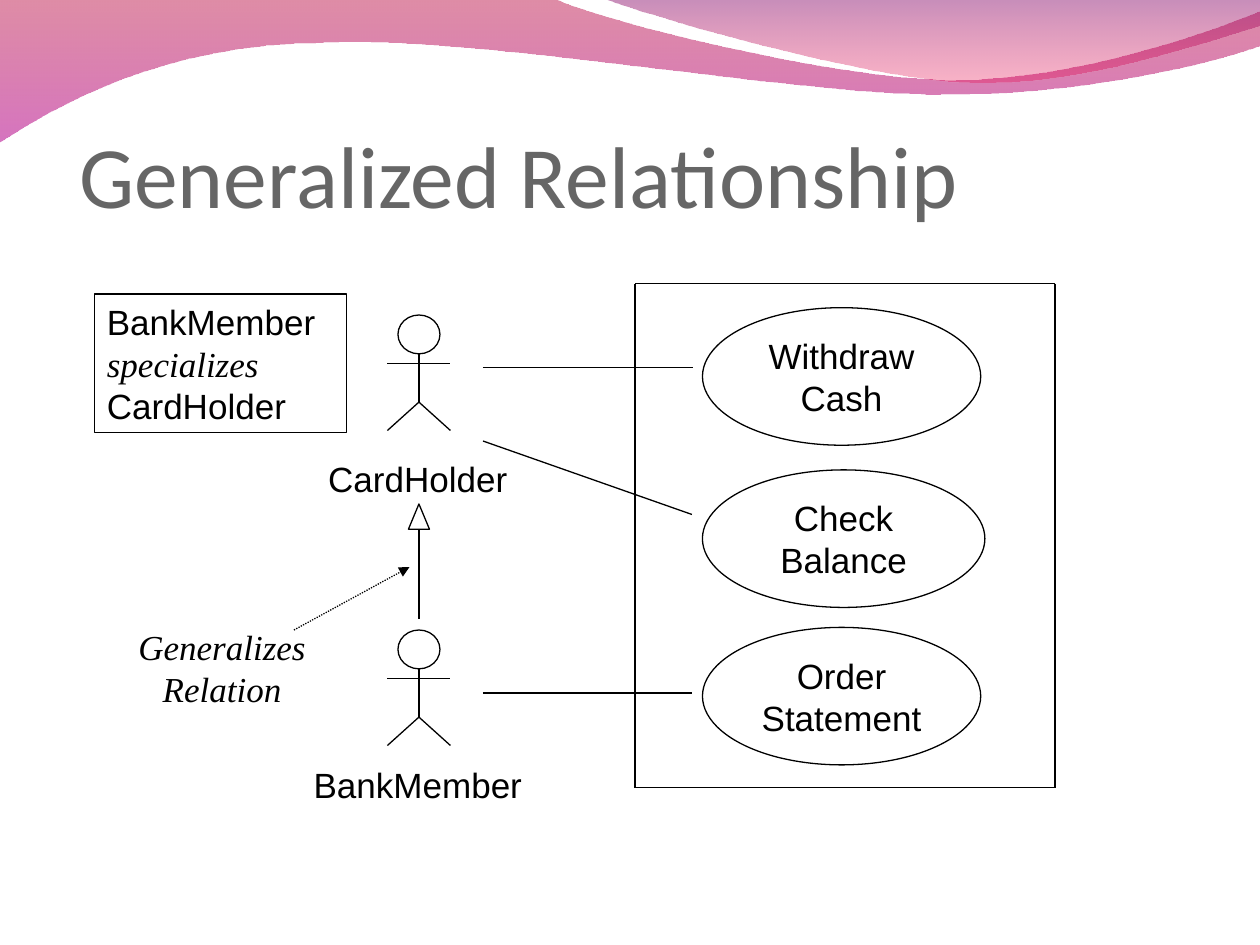
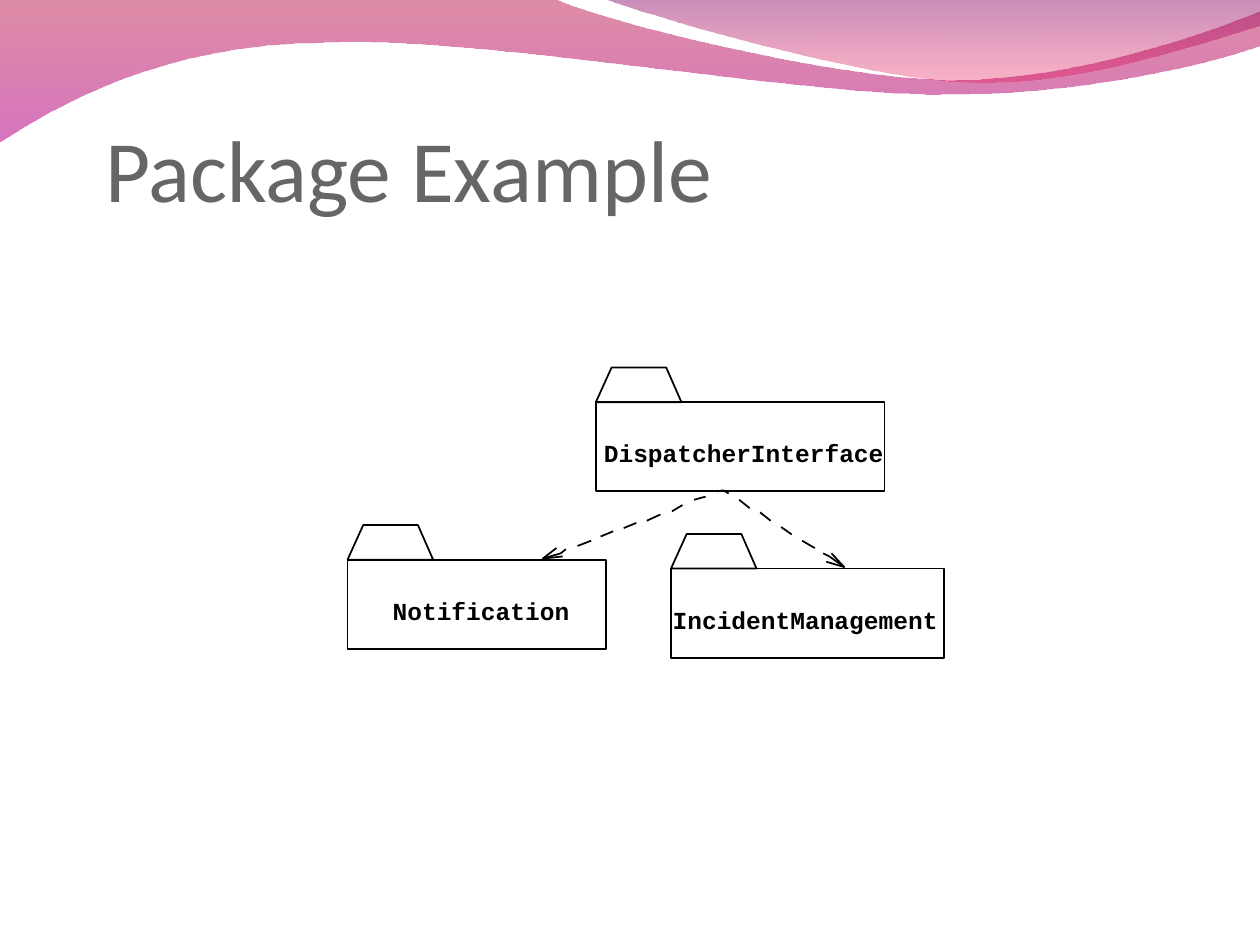
from dataclasses import dataclass
from typing import NamedTuple

from lxml import etree
from pptx import Presentation
from pptx import util as u
from pptx.dml.color import RGBColor
from pptx.enum import shapes, text
from pptx.oxml.ns import qn

# The slide is a grid of 120 columns by 90 rows
COLS = 120
WIDE, HIGH = u.Inches(10), u.Inches(7.5)
CELL = WIDE / COLS

Point = tuple[float, float]
Kind = shapes.MSO_SHAPE


@dataclass(frozen=True)
class Theme:
    ink: str = "000000"
    paper: str = "FFFFFF"
    title: str = "666666"
    head: str = "Calibri"
    sans: str = "Arial"
    serif: str = "Times New Roman"
    mono: str = "Courier New"
    big: float = 50
    mid: float = 20
    small: float = 14
    thin: float = 0.75
    thick: float = 1


THEME = Theme()


class Box(NamedTuple):
    x: float
    y: float
    w: float
    h: float


class Stop(NamedTuple):
    color: str
    alpha: int


class Wave(NamedTuple):
    start: Point
    steps: list[tuple[float, ...]]  # two numbers: line, six numbers: curve
    stops: list[Stop]


class Actor(NamedTuple):
    name: str
    x: float
    y: float
    label: float


class Case(NamedTuple):
    name: str
    y: float
    w: float


class Folder(NamedTuple):
    name: str
    box: Box
    shift: float  # label offset from the folder's centre


class Arrow(NamedTuple):
    dashes: list[tuple[float, float, float, float]]  # the last one ends at the tip
    barbs: tuple[Point, Point]


WAVES = [
    Wave((0, -0.1),
         [(52.8, -0.1), (57.1, 2, 79.7, 7.6, 91, 7.6), (102.4, 7.6, 115, 3.1, 120, 1.1),
          (120.1, 4.3), (118, 5.3, 104.4, 9.1, 89.5, 9), (74.6, 9, 45.8, 3.4, 30.8, 4.1),
          (15.5, 4.2, 5.5, 10, -0.1, 13.6)],
         [Stop("B8003B", 45), Stop("B4008B", 55)]),
    Wave((57.5, -0.1),
         [(61.1, 1.3, 81.8, 7.4, 92.3, 7.8), (102.7, 8.3, 115.3, 3.8, 120, 2.5), (120, 0)],
         [Stop("820066", 45), Stop("F10044", 30)]),
]
AXIS = 39.9
ACTORS = [Actor("CardHolder", AXIS, 30, 43), Actor("BankMember", AXIS, 60, 72.1)]
CASES = [Case("Withdraw\nCash", 29.3, 26.5), Case("Check\nBalance", 44.75, 26.9),
         Case("Order Statement", 59.75, 26.5)]
LINKS = [((46, 35), (66, 35)), ((46, 42), (65.9, 49)), ((46, 66), (65.9, 66))]
FOLDERS = [Folder("DispatcherInterface", Box(56.75, 38.3, 27.5, 8.5), 0.35),
           Folder("Notification", Box(33.1, 53.3, 24.65, 8.5), 0.4),
           Folder("IncidentManagement", Box(63.9, 54.15, 26, 8.5), -0.2)]
ARROWS = [
    Arrow([(68.9, 46.7, 68.3, 46.8), (67.2, 47.3, 66.1, 47.6), (65, 48.1, 64, 48.7),
           (62.9, 49, 61.6, 49.6), (60.6, 49.8, 59.4, 50.3), (58.4, 50.6, 57.2, 51.1),
           (56.3, 51.5, 55, 52), (53.9, 52.3, 53.4, 52.7), (53.4, 52.7, 51.7, 53.2)],
          ((53.6, 53), (53, 52.2))),
    Arrow([(68.9, 46.7, 69.4, 47), (70.4, 47.6, 71.4, 48.4), (72.4, 48.8, 73.4, 49.6),
           (74.4, 50.2, 75.4, 50.9), (76.4, 51.5, 77.6, 52.2), (78.4, 52.7, 79, 53),
           (79, 53, 80.4, 54)],
          ((79.2, 52.7), (78.7, 53.5))),
]


# Drawing helpers
def emu(*cells: float) -> list[int]:
    return [round(c * CELL) for c in cells]


def rgb(color: str) -> RGBColor:
    return RGBColor.from_string(color)


def fade(root, alphas: list[int]) -> None:
    for el, alpha in zip(root.iter(qn("a:srgbClr")), alphas):
        etree.SubElement(el, qn("a:alpha"), val=str(alpha * 1000))


def paint(shape, line: float, glass: bool = False):
    shape.shadow.inherit = False
    if glass:
        shape.fill.solid()
        shape.fill.fore_color.rgb = rgb(THEME.paper)
        fade(shape.element.spPr, [50])
    else:
        shape.fill.background()
    shape.line.color.rgb = rgb(THEME.ink)
    shape.line.width = u.Pt(line)
    return shape


def put(slide, kind: Kind, box: Box, line: float, glass: bool = False):
    return paint(slide.shapes.add_shape(kind, *emu(*box)), line, glass)


def trace(slide, points: list[Point], close: bool):
    pen = slide.shapes.build_freeform(*emu(*points[0]))
    pen.add_line_segments([emu(*p) for p in points[1:]], close)
    return pen.convert_to_shape()


def link(slide, a: Point, b: Point, width: float = THEME.thin,
         dotted: bool = False, tail: str = "") -> None:
    wire = slide.shapes.add_connector(shapes.MSO_CONNECTOR.STRAIGHT, *emu(*a, *b))
    wire.line.color.rgb = rgb(THEME.ink)
    wire.line.width = u.Pt(width)
    props = wire.element.spPr
    ln = props.find(qn("a:ln"))
    if dotted:
        etree.SubElement(ln, qn("a:prstDash"), val="sysDot")
    if tail:
        etree.SubElement(ln, qn("a:tailEnd"), type=tail)
    etree.SubElement(props, qn("a:effectLst"))


def style(font, face: str, size: float, color: str = THEME.ink,
          bold: bool = False, italic: bool = False) -> None:
    font.name, font.size = face, u.Pt(size)
    font.bold, font.italic = bold, italic
    font.color.rgb = rgb(color)


def write(shape, words: str, face: str, size: float, wrap: bool = True, **look: bool):
    frame = shape.text_frame
    frame.text = words
    frame.word_wrap = wrap
    for para in frame.paragraphs:
        para.alignment = text.PP_ALIGN.CENTER
        for run in para.runs:
            style(run.font, face, size, **look)
    return frame


def label(slide, box: Box, words: str, face: str, size: float, **look: bool):
    return write(slide.shapes.add_textbox(*emu(*box)), words, face, size, **look)


# Shared parts: waves on the layout, title on each slide
def bend(slide, wave: Wave):
    points = [wave.start]
    for step in wave.steps:
        points += zip(step[::2], step[1::2])
    shape = trace(slide, points, True)
    lines = iter(list(shape.element.iter(qn("a:lnTo"))))
    for step in wave.steps:
        group = [next(lines) for _ in step[::2]]
        if len(group) == 3:  # join two handles and an end point into a curve
            curve = etree.Element(qn("a:cubicBezTo"))
            group[0].addprevious(curve)
            for line in group:
                curve.append(line[0])
                line.getparent().remove(line)
    return shape


def adorn(slide) -> None:
    tree = slide.slide_layout.shapes.element
    for i, wave in enumerate(WAVES):
        shape = bend(slide, wave)
        shape.shadow.inherit = False
        shape.line.fill.background()
        shape.fill.gradient()
        shape.fill.gradient_angle = 270
        for place, (stop, tone) in enumerate(zip(shape.fill.gradient_stops, wave.stops)):
            stop.color.rgb = rgb(tone.color)
            stop.position = place
        fade(shape.element.spPr, [s.alpha for s in wave.stops])
        tree.insert(2 + i, shape.element)


def head(slide, words: str, box: Box) -> None:
    title = slide.shapes.title
    title.left, title.top, title.width, title.height = emu(*box)
    frame = title.text_frame
    frame.text = words
    frame.auto_size = text.MSO_AUTO_SIZE.NONE
    frame.vertical_anchor = text.MSO_ANCHOR.BOTTOM
    frame.margin_left = frame.margin_right = frame.margin_bottom = 0
    frame.margin_top = u.Inches(0.05)
    para = frame.paragraphs[0]
    para.alignment = text.PP_ALIGN.LEFT
    style(para.runs[0].font, THEME.head, THEME.big, THEME.title)


# Slide 1: use cases
def stick(slide, actor: Actor) -> None:
    x, y = actor.x, actor.y
    neck, arm, hip, foot = y + 3.7, y + 4.6, y + 8.3, y + 11
    put(slide, Kind.OVAL, Box(x - 2, y, 4, 3.7), THEME.thin, True)
    link(slide, (x, neck), (x, hip))
    link(slide, (x - 3, arm), (x + 3, arm))
    for side in (-3, 3):
        link(slide, (x, hip), (x + side, foot))
    label(slide, Box(x - 12.1, actor.label, 24, 5.3), actor.name,
          THEME.sans, THEME.mid, wrap=False)


def roles(slide) -> None:
    head(slide, "Generalized Relationship", Box(7.55, 10.5, 102, 11))

    # System border
    left, top, right, low = 60.5, 27, 100.45, 75
    for y in (top, low):
        link(slide, (left, y), (right, y), THEME.thick)
    for x in (left, right):
        link(slide, (x, top), (x, low), THEME.thick)

    for case in CASES:
        oval = put(slide, Kind.OVAL, Box(66.9, case.y, case.w, 13.1), THEME.thin, True)
        write(oval, case.name, THEME.sans, THEME.mid)
    for a, b in LINKS:
        link(slide, a, b)
    for actor in ACTORS:
        stick(slide, actor)

    # Generalization arrow and its caption
    link(slide, (AXIS, 50.4), (AXIS, 59))
    put(slide, Kind.ISOSCELES_TRIANGLE, Box(AXIS - 1, 48, 2, 2.4), THEME.thin, True)
    link(slide, (28, 60), (39, 54), dotted=True, tail="triangle")
    label(slide, Box(11, 59, 20.3, 9.2), "Generalizes\nRelation",
          THEME.serif, THEME.mid, italic=True)

    # Note
    note = put(slide, Kind.RECTANGLE, Box(9, 28, 24, 13.2), THEME.thin)
    note.text_frame.word_wrap = True
    note.text_frame.vertical_anchor = text.MSO_ANCHOR.TOP
    para = note.text_frame.paragraphs[0]
    para.alignment = text.PP_ALIGN.LEFT
    for words, face in (("BankMember ", THEME.sans), ("specializes ", THEME.serif),
                        ("CardHolder", THEME.sans)):
        run = para.add_run()
        run.text = words
        style(run.font, face, THEME.mid, italic=face == THEME.serif)


# Slide 2: packages
def pack(slide, folder: Folder) -> None:
    x, y, w, _ = folder.box
    put(slide, Kind.RECTANGLE, folder.box, THEME.thick)
    top = y - 3.3
    paint(trace(slide, [(x, y), (x + 1.5, top), (x + 6.7, top), (x + 8.15, y)], True),
          THEME.thick)
    frame = label(slide, Box(x + folder.shift, y + 3.45, w, 2.8), folder.name,
                  THEME.mono, THEME.small, wrap=False, bold=True)
    frame.margin_left = frame.margin_right = frame.margin_top = frame.margin_bottom = 0


def packs(slide) -> None:
    head(slide, "Package Example", Box(10, 6, 108, 15))
    for folder in FOLDERS:
        pack(slide, folder)
    for arrow in ARROWS:
        for dash in arrow.dashes:
            link(slide, dash[:2], dash[2:], THEME.thick)
        first, last = arrow.barbs
        paint(trace(slide, [first, arrow.dashes[-1][2:], last], False), THEME.thick)


def main() -> None:
    prs = Presentation()
    prs.slide_width, prs.slide_height = WIDE, HIGH
    layout = prs.slide_layouts[5]
    pages = [prs.slides.add_slide(layout) for _ in range(2)]
    adorn(pages[0])
    for page, draw in zip(pages, (roles, packs)):
        draw(page)
    prs.save("out.pptx")


if __name__ == "__main__":
    main()
